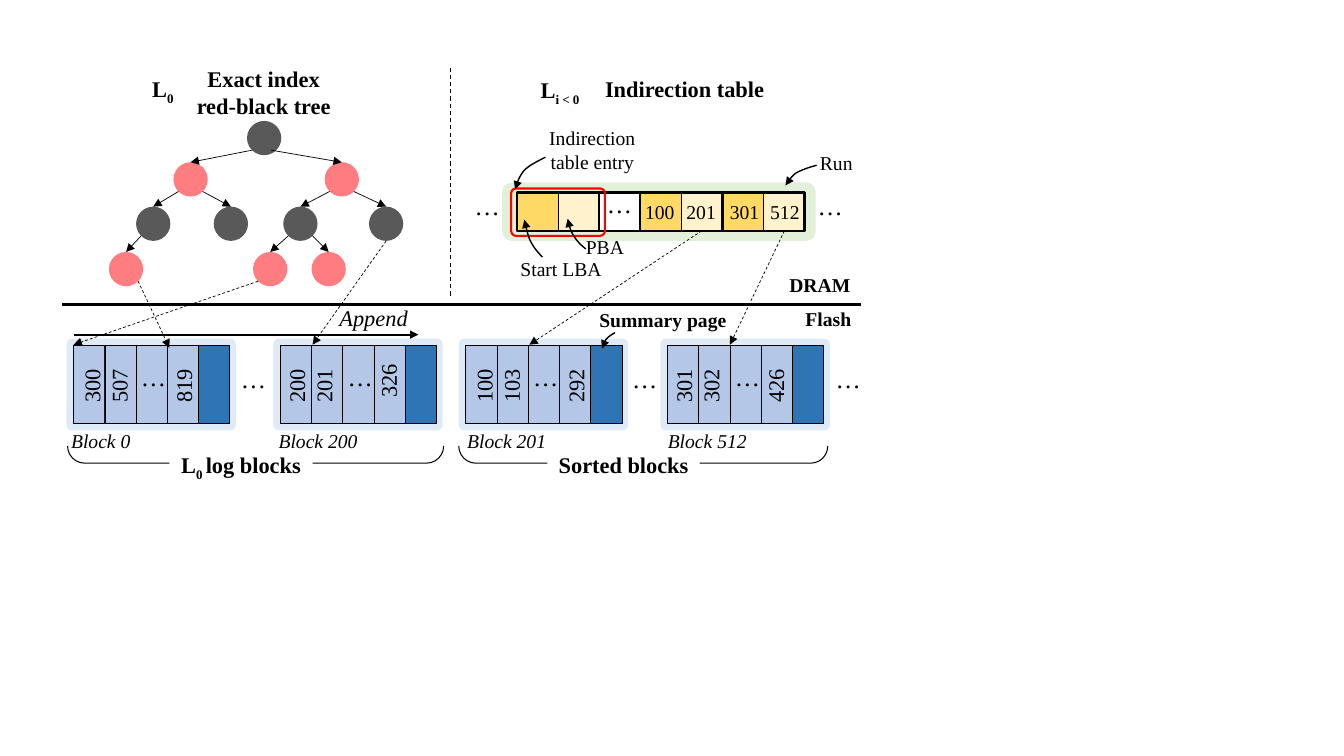
import dataclasses

import lxml.etree
import pptx
import pptx.dml.color
import pptx.enum.dml
import pptx.enum.shapes
import pptx.enum.text
import pptx.oxml.ns
import pptx.util

SHAPE = pptx.enum.shapes.MSO_SHAPE
ALIGN = pptx.enum.text.PP_ALIGN


@dataclasses.dataclass(frozen=True)
class Theme:
    font: str = "Times New Roman"
    ink: str = "000000"
    paper: str = "FFFFFF"
    halo: str = "DEEBF7"
    data_page: str = "B4C7E7"
    summary_page: str = "2E75B6"
    run_halo: str = "E2F0D9"
    lba: str = "FFD966"
    pba: str = "FFF2CC"
    black_node: str = "595959"
    red_node: str = "FF7C80"
    highlight: str = "FF0000"
    label: int = 14
    heading: int = 16
    dots: int = 18


THEME = Theme()


def inches(value):
    return pptx.util.Cm(2.54 * value)


def color(value):
    return pptx.dml.color.RGBColor.from_string(value)


def paint(shape, fill):
    if fill:
        shape.fill.solid()
        shape.fill.fore_color.rgb = color(fill)
    else:
        shape.fill.background()


def stroke(item, width, ink=THEME.ink, dashed=False, arrow=False):
    item.line.color.rgb = color(ink)
    item.line.width = pptx.util.Pt(width)
    if dashed:
        item.line.dash_style = pptx.enum.dml.MSO_LINE.DASH
    if arrow:
        tail = lxml.etree.SubElement(item.line._get_or_add_ln(), pptx.oxml.ns.qn("a:tailEnd"))
        tail.set("type", "triangle")


def add_shape(shapes, kind, box, fill=None, width=0, ink=THEME.ink, adjust=(), turn=0):
    shape = shapes.add_shape(kind, *map(inches, box))
    shape.shadow.inherit = False
    shape.rotation = turn
    for index, value in enumerate(adjust):
        shape.adjustments[index] = value
    paint(shape, fill)
    if width:
        stroke(shape, width, ink)
    else:
        shape.line.fill.background()
    return shape


def add_line(shapes, start, end, width=0.5, dashed=False, arrow=True):
    straight = pptx.enum.shapes.MSO_CONNECTOR.STRAIGHT
    line = shapes.add_connector(straight, *map(inches, (*start, *end)))
    stroke(line, width, dashed=dashed, arrow=arrow)
    lxml.etree.SubElement(line._element.spPr, pptx.oxml.ns.qn("a:effectLst"))


def add_curve(shapes, start, *pieces):
    """Trace cubic pieces, each two handles and an end, with short segments."""
    points, steps = [], 8
    here = start
    for piece in pieces:
        for step in range(1, steps + 1):
            t = step / steps
            weights = ((1 - t) ** 3, 3 * t * (1 - t) ** 2, 3 * t * t * (1 - t), t ** 3)
            knots = (here, *piece)
            points.append(tuple(inches(sum(w * k[axis] for w, k in zip(weights, knots)))
                                for axis in (0, 1)))
        here = piece[-1]
    builder = shapes.build_freeform(*map(inches, start))
    builder.add_line_segments(points, close=False)
    curve = builder.convert_to_shape()
    curve.shadow.inherit = False
    paint(curve, None)
    stroke(curve, 1, arrow=True)


def add_text(shapes, box, lines, size=THEME.label, align=ALIGN.CENTER, wrap=False,
             turn=0, fill=None, **style):
    """Each line is a string, or a list of (text, is_subscript) spans."""
    text_box = shapes.add_textbox(*map(inches, box))
    text_box.rotation = turn
    paint(text_box, fill)
    frame = text_box.text_frame
    frame.word_wrap = wrap
    frame.auto_size = pptx.enum.text.MSO_AUTO_SIZE.SHAPE_TO_FIT_TEXT
    formats = {"name": THEME.font, "size": pptx.util.Pt(size), **style}
    for index, line in enumerate(lines):
        para = frame.add_paragraph() if index else frame.paragraphs[0]
        para.alignment = align
        for text, subscript in [(line, False)] if isinstance(line, str) else line:
            span = para.add_run()
            span.text = text
            for name, value in formats.items():
                setattr(span.font, name, value)
            span.font.color.rgb = color(THEME.ink)
            if subscript:
                span._r.get_or_add_rPr().set("baseline", "-25000")


def add_dots(shapes, left, top):
    add_text(shapes, (left, top, 0.45, 0.4), ["…"], THEME.dots, ALIGN.LEFT, wrap=True)


def add_block(shapes, left, text_left, values, name, name_box, last_top=3.64):
    top, width, height, margin = 3.43, 0.31, 0.77, 0.07
    add_shape(shapes, SHAPE.ROUNDED_RECTANGLE,
              (left - margin, top - margin, 1.68, 0.91), THEME.halo, adjust=[0.06])
    pages = shapes.add_group_shape().shapes
    for index in range(5):
        fill = THEME.summary_page if index == 4 else THEME.data_page
        add_shape(pages, SHAPE.RECTANGLE, (left + index * width, top, width, height), fill, 0.5)
    for value, offset, value_top in zip(values, (0, 0.27, 0.91), (3.64, 3.64, last_top)):
        add_text(shapes, (text_left + offset, value_top, 0.54, 0.37), [value],
                 THEME.heading, ALIGN.LEFT, wrap=True, turn=270)
    add_dots(shapes, left + 0.57, 3.54)
    add_text(shapes, (name_box[0], 4.21, name_box[1], 0.34), [name], italic=True)


def add_brace(shapes, left, length, label, label_left, label_width):
    depth, middle = 0.34, 4.595
    add_shape(shapes, SHAPE.RIGHT_BRACE,
              (left + (length - depth) / 2, middle - length / 2, depth, length),
              width=0.75, adjust=(0.495, 0.499), turn=90)
    add_text(shapes, (label_left, 4.43, label_width, 0.37), [label], THEME.heading,
             fill=THEME.paper, bold=True)


def add_tree(shapes):
    size, reach = 0.34, 0.12
    black, red = THEME.black_node, THEME.red_node
    nodes = {"root": (2.45, 1.2, black), "left": (1.72, 1.61, red), "right": (3.22, 1.61, red),
             "left-left": (1.35, 2.05, black), "left-right": (2.12, 2.05, black),
             "right-left": (2.81, 2.05, black), "right-right": (3.66, 2.05, black),
             "leaf 1": (1.08, 2.5, red), "leaf 2": (2.51, 2.5, red), "leaf 3": (3.09, 2.5, red)}
    edges = [("root", "left", -reach), ("root", "right", 0.07),
             ("left", "left-left", -reach), ("left", "left-right", reach),
             ("right", "right-left", -reach), ("right", "right-right", reach),
             ("left-left", "leaf 1", -reach),
             ("right-left", "leaf 2", -reach), ("right-left", "leaf 3", reach)]
    for left, top, fill in nodes.values():
        add_shape(shapes, SHAPE.OVAL, (left, top, size, size), fill)
    for parent, child, shift in edges:
        left, top, _ = nodes[parent]
        start = (left + size / 2 + shift, top + size / 2 + reach)
        add_line(shapes, start, (nodes[child][0] + size / 2, nodes[child][1]))


def add_run_table(shapes):
    left, top, height = 5.13, 1.91, 0.38
    width = (7.98 - left) / 7
    add_shape(shapes, SHAPE.ROUNDED_RECTANGLE, (4.98, 1.81, 3.11, 0.58), THEME.run_halo)
    cells = shapes.add_group_shape().shapes
    fills = (THEME.lba, THEME.pba, THEME.paper) + (THEME.lba, THEME.pba) * 2
    for index, fill in enumerate(fills):
        add_shape(cells, SHAPE.RECTANGLE, (left + index * width, top, width, height), fill, 0.5)
    for first, count in ((0, 2), (2, 1), (3, 2), (5, 2)):
        add_shape(cells, SHAPE.RECTANGLE,
                  (left + first * width, top, count * width, height), width=1.5)
    for value, value_left in (("100", 6.3), ("201", 6.71), ("301", 7.14), ("512", 7.54)):
        add_text(cells, (value_left, 1.93, 0.57, 0.34), [value], align=ALIGN.LEFT, wrap=True)
    add_shape(shapes, SHAPE.ROUNDED_RECTANGLE, (5.07, 1.87, 0.93, 0.47), width=1.5,
              ink=THEME.highlight, adjust=[0.1])
    for dots_left, dots_top in ((4.61, 1.84), (5.92, 1.82), (8.01, 1.84)):
        add_dots(shapes, dots_left, dots_top)


def main():
    deck = pptx.Presentation()
    deck.slide_width, deck.slide_height = inches(13.33), inches(7.5)
    shapes = deck.slides.add_slide(deck.slide_layouts[6]).shapes

    # Braces lie behind the block captions
    add_brace(shapes, 0.67, 3.73, [("L", False), ("0 ", True), ("log blocks", False)], 1.68, 1.42)
    add_brace(shapes, 4.55, 3.66, "Sorted blocks", 5.43, 1.51)

    # Flash blocks
    add_block(shapes, 0.73, 0.64, ("300", "507", "819"), "Block 0", (0.6, 0.8))
    add_block(shapes, 2.78, 2.67, ("200", "201", "326"), "Block 200", (2.66, 0.99), 3.59)
    add_block(shapes, 4.62, 4.53, ("100", "103", "292"), "Block 201", (4.53, 0.99))
    add_block(shapes, 6.62, 6.51, ("301", "302", "426"), "Block 512", (6.52, 0.99))
    for left in (2.29, 6.17, 8.19):
        add_dots(shapes, left, 3.56)

    # Dividers between memory areas and index kinds
    add_line(shapes, (0.62, 3.02), (8.54, 3.02), 2.25, arrow=False)
    add_line(shapes, (4.47, 0.67), (4.47, 2.96), 0.75, dashed=True, arrow=False)

    # Index structures
    add_tree(shapes)
    add_run_table(shapes)

    # Pointers from the indexes to flash pages
    for start, end in (((1.37, 2.79), (1.68, 3.45)), ((2.56, 2.79), (0.73, 3.42)),
                       ((3.83, 2.39), (3.1, 3.42)), ((6.96, 2.29), (5.25, 3.42)),
                       ((7.78, 2.29), (7.24, 3.42))):
        add_line(shapes, start, end, dashed=True)
    add_line(shapes, (0.73, 3.32), (4.15, 3.32), 1.5)

    # Headings
    bold = {"size": THEME.heading, "bold": True}
    add_text(shapes, (1.3, 0.7, 0.63, 0.37), [[("L", False), ("0", True)]], wrap=True, **bold)
    add_text(shapes, (1.84, 0.6, 1.55, 0.64), ["Exact index", "red-black tree"], **bold)
    add_text(shapes, (5.24, 0.71, 0.63, 0.37), [[("L", False), ("i < 0", True)]],
             wrap=True, **bold)
    add_text(shapes, (5.89, 0.7, 1.8, 0.37), ["Indirection table"], **bold)

    # Labels
    add_text(shapes, (7.73, 2.66, 0.81, 0.34), ["DRAM"], align=ALIGN.LEFT, bold=True)
    add_text(shapes, (7.89, 3, 0.66, 0.34), ["Flash"], align=ALIGN.LEFT, bold=True)
    add_text(shapes, (5.84, 3.01, 1.47, 0.34), ["Summary page"], wrap=True, bold=True)
    add_text(shapes, (3.26, 2.97, 0.89, 0.37), ["Append"], THEME.heading, italic=True)
    add_text(shapes, (5.33, 1.2, 1.09, 0.57), ["Indirection", "table entry"])
    add_text(shapes, (5.06, 2.5, 1.01, 0.34), ["Start LBA"])
    add_text(shapes, (5.71, 2.28, 0.58, 0.34), ["PBA"])
    add_text(shapes, (8.03, 1.45, 0.53, 0.34), ["Run"])

    # Curved arrows from labels: table entry, start LBA, PBA, run, summary page
    for start, *pieces in (
            ((5.41, 1.56), ((5.33, 1.6), (5.25, 1.64), (5.2, 1.69)),
             ((5.15, 1.75), (5.13, 1.81), (5.11, 1.88))),
            ((5.38, 2.55), ((5.33, 2.5), (5.29, 2.45), (5.26, 2.39)),
             ((5.23, 2.33), (5.22, 2.25), (5.2, 2.18))),
            ((5.81, 2.47), ((5.76, 2.43), (5.72, 2.39), (5.69, 2.34)),
             ((5.66, 2.29), (5.64, 2.23), (5.63, 2.17))),
            ((8.1, 1.64), ((8.02, 1.66), (7.94, 1.69), (7.89, 1.72)),
             ((7.84, 1.76), (7.82, 1.8), (7.79, 1.84))),
            ((6.1, 3.3), ((6.07, 3.32), (6.03, 3.34), (6.01, 3.37)),
             ((5.99, 3.4), (5.98, 3.43), (5.97, 3.46)))):
        add_curve(shapes, start, *pieces)

    deck.save("out.pptx")


main()
